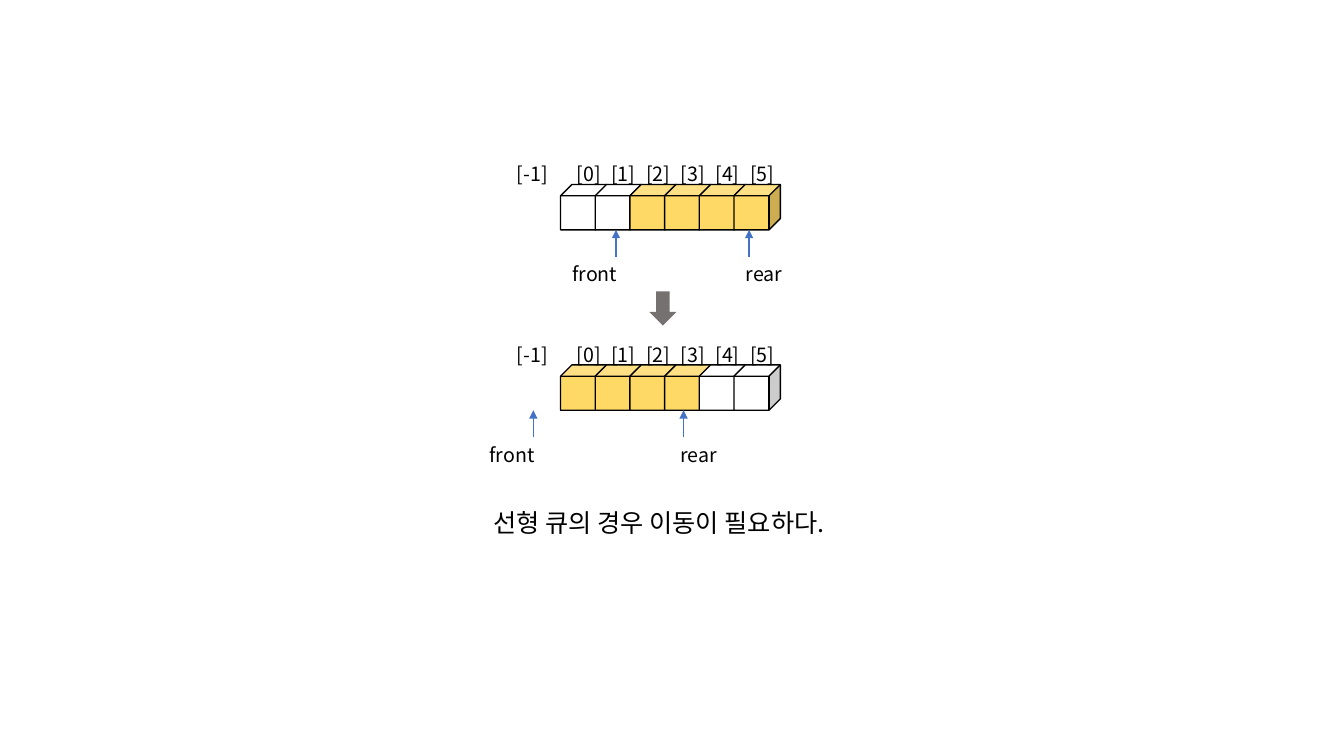
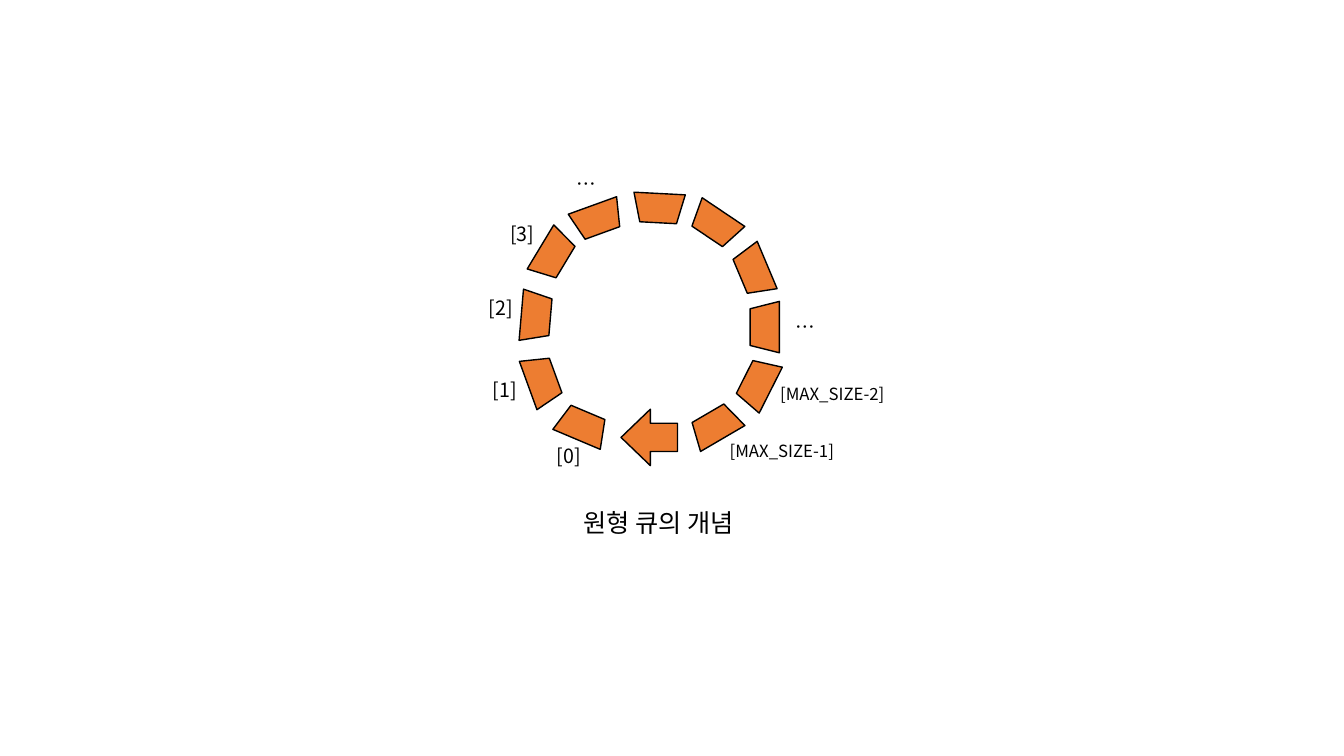
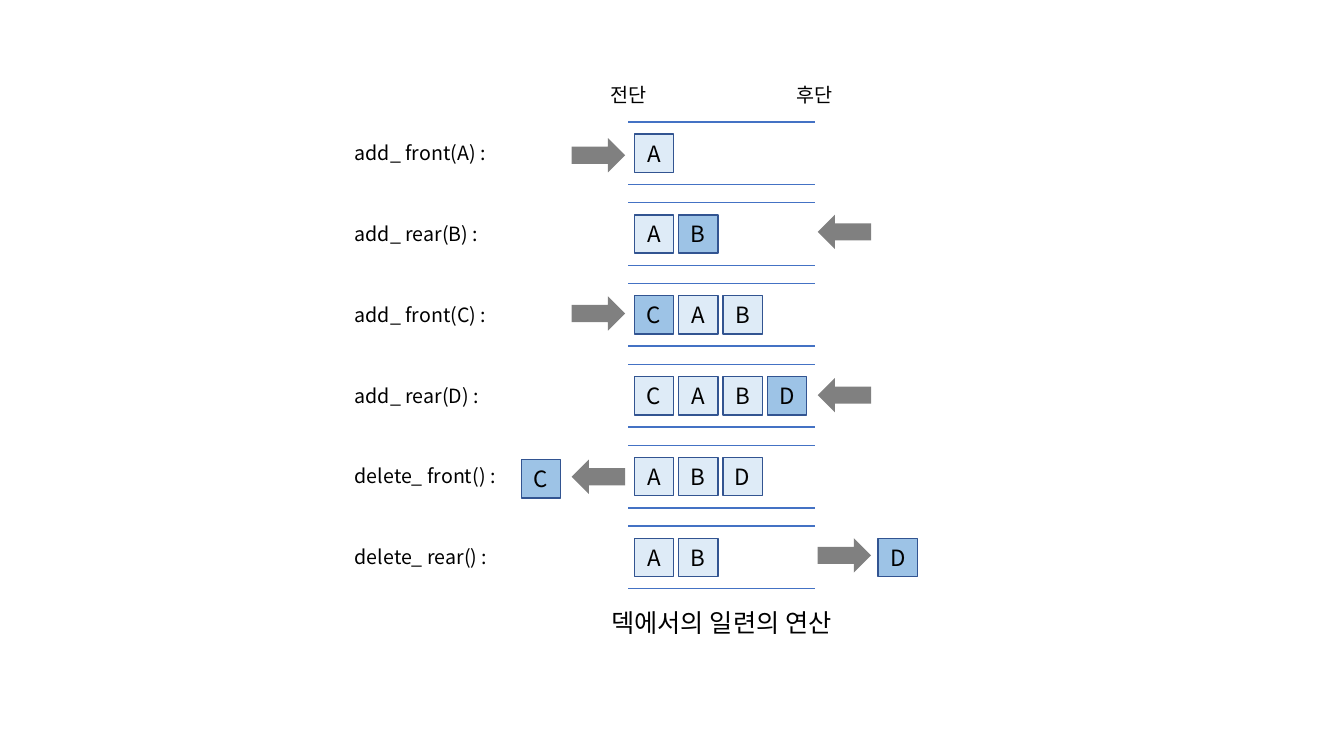
from pptx import Presentation
from pptx.dml.color import RGBColor
from pptx.enum.shapes import MSO_CONNECTOR, MSO_SHAPE
from pptx.enum.text import MSO_ANCHOR, MSO_AUTO_SIZE, PP_ALIGN
from pptx.oxml.ns import qn
from pptx.util import Inches, Pt
from lxml.etree import SubElement

FONT = "Noto Sans CJK KR"
BLACK, WHITE, YELLOW, ORANGE = "000000", "FFFFFF", "FFD966", "ED7D31"
BLUE, NAVY, PALE, STRONG = "4472C4", "325491", "DEEBF7", "9DC3E6"
DARK_GRAY, GRAY = "767171", "808080"
rgb = RGBColor.from_string

prs = Presentation()
prs.slide_width, prs.slide_height = Inches(13.33), Inches(7.5)
blank = prs.slide_layouts[6]


def add_box(s, kind, x, y, w, h, fill=None, line=None, rot=0,
            text=None, size=14, align=PP_ALIGN.CENTER):
    """Add a preset shape, or a text box when kind is None."""
    box = [Inches(v) for v in (x, y, w, h)]
    if kind is None:
        sp = s.shapes.add_textbox(*box)
        sp.text_frame.auto_size = MSO_AUTO_SIZE.SHAPE_TO_FIT_TEXT
    else:
        sp = s.shapes.add_shape(kind, *box)
        sp.shadow.inherit = False
        sp.rotation = rot
        sp.fill.solid()
        sp.fill.fore_color.rgb = rgb(fill)
        if line:
            sp.line.color.rgb = rgb(line)
            sp.line.width = Pt(1)
        else:
            sp.line.fill.background()
        sp.text_frame.vertical_anchor = MSO_ANCHOR.MIDDLE
    if text:
        tf = sp.text_frame
        tf.word_wrap = True
        p = tf.paragraphs[0]
        p.alignment = align
        r = p.add_run()
        r.text = text
        r.font.size = Pt(size)
        r.font.name = FONT
        r.font.color.rgb = rgb(BLACK)
        SubElement(r.font._element, qn("a:ea"), typeface=FONT)
    return sp


def add_line(s, x1, y1, x2, y2, arrow=False):
    ends = [Inches(v) for v in (x1, y1, x2, y2)]
    cn = s.shapes.add_connector(MSO_CONNECTOR.STRAIGHT, *ends)
    cn.line.color.rgb = rgb(BLUE)
    cn.line.width = Pt(1)
    if arrow:
        SubElement(cn.line._get_or_add_ln(), qn("a:tailEnd"), type="triangle")
    SubElement(cn._element.spPr, qn("a:effectLst"))


# Slide 1: a linear queue before and after moving its items
s = prs.slides.add_slide(blank)
queues = [  # top, cells in use, (pointer name, arrow x, label x)
    (1.83, range(2, 6), [("front", 6.11, 5.27), ("rear", 7.43, 6.95)]),
    (3.62, range(0, 4), [("front", 5.29, 4.45), ("rear", 6.78, 6.3)]),
]
for top, used, pointers in queues:
    add_box(s, None, 5, top - 0.27, 0.56, 0.34, text="[-1]")
    for i in range(6):
        x = 5.56 + 1.72 / 5 * i
        add_box(s, MSO_SHAPE.CUBE, x, top, 0.46, 0.45,
                YELLOW if i in used else WHITE, BLACK)
        add_box(s, None, x, top - 0.27, 0.56, 0.34, text=f"[{i}]")
    for name, arrow_x, label_x in pointers:
        add_line(s, arrow_x, top + 0.72, arrow_x, top + 0.45, arrow=True)
        add_box(s, None, label_x, top + 0.72, 1.26, 0.34, text=name)
add_box(s, MSO_SHAPE.DOWN_ARROW, 6.44, 2.89, 0.27, 0.34, DARK_GRAY)
add_box(s, None, 4.38, 4.98, 4.31, 0.4, text="선형 큐의 경우 이동이 필요하다.", size=18)

# Slide 2: a circular queue
s = prs.slides.add_slide(blank)
ring = [  # left, top, rotation
    (6.84, 4.08, 329.7), (5.52, 4.08, 22.9), (5.12, 3.63, 70), (5.06, 2.99, 94.9),
    (5.23, 2.38, 121.1), (5.67, 2.03, 160.1), (6.28, 1.92, 183), (6.84, 2.08, 213.9),
    (7.22, 2.54, 247.2), (7.33, 3.1, 270), (7.26, 3.66, 296.8),
]
for x, y, rot in ring:
    add_box(s, MSO_SHAPE.TRAPEZOID, x, y, 0.51, 0.29, ORANGE, BLACK, rot)
arrow = add_box(s, MSO_SHAPE.LEFT_ARROW, 6.16, 4.06, 0.56, 0.56, ORANGE, BLACK)
arrow.adjustments[1] = 0.52

indexes = [("[0]", 5.36, 4.35), ("[1]", 4.73, 3.7), ("[2]", 4.69, 2.89),
           ("[3]", 4.9, 2.15), ("…", 5.54, 1.66), ("…", 7.71, 3.08)]
for text, x, y in indexes:
    add_box(s, None, x, y, 0.56, 0.34, text=text)
for text, x, y in [("[MAX_SIZE-2]", 7.27, 3.76), ("[MAX_SIZE-1]", 6.77, 4.32)]:
    add_box(s, None, x, y, 1.97, 0.3, text=text, size=12)
add_box(s, None, 4.38, 4.98, 4.31, 0.4, text="원형 큐의 개념", size=18)

# Slide 3: operations on a deque
s = prs.slides.add_slide(blank)
for text, x in [("전단", 5.6), ("후단", 7.45)]:
    add_box(s, None, x, 0.77, 1.26, 0.34, text=text)

FRONT, REAR = 5.67, 8.11
operations = [  # call, items, added item, removed (item, x, y), arrow x, y, rotation
    ("add_ front(A) :", "A", "", None, FRONT, 1.37, 0),
    ("add_ rear(B) :", "AB", "B", None, REAR, 2.13, 180),
    ("add_ front(C) :", "CAB", "C", None, FRONT, 2.94, 0),
    ("add_ rear(D) :", "CABD", "D", None, REAR, 3.75, 180),
    ("delete_ front() :", "ABD", "", ("C", 5.17, 4.56), FRONT, 4.56, 180),
    ("delete_ rear() :", "AB", "", ("D", 8.71, 5.34), REAR, 5.34, 0),
]
for row, (call, items, added, removed, arrow_x, arrow_y, rot) in enumerate(operations):
    top = 1.21 + 4.01 / 5 * row
    for y in (top, top + 0.62):
        add_line(s, 6.23, y, 8.08, y)
    cells = [(item, 6.29 + 0.44 * i, top + 0.12) for i, item in enumerate(items)]
    if removed:
        cells.append(removed)
    for cell in cells:
        item, x, y = cell
        fill = STRONG if item == added or cell == removed else PALE
        add_box(s, MSO_SHAPE.RECTANGLE, x, y, 0.39, 0.38, fill, NAVY, text=item, size=16)
    add_box(s, MSO_SHAPE.RIGHT_ARROW, arrow_x, arrow_y, 0.53, 0.34, GRAY, rot=rot)
    add_box(s, None, 3.42, top + 0.14, 1.66, 0.34, text=call, align=PP_ALIGN.LEFT)
add_box(s, None, 5, 5.98, 4.31, 0.4, text="덱에서의 일련의 연산", size=18)

prs.save("out.pptx")
